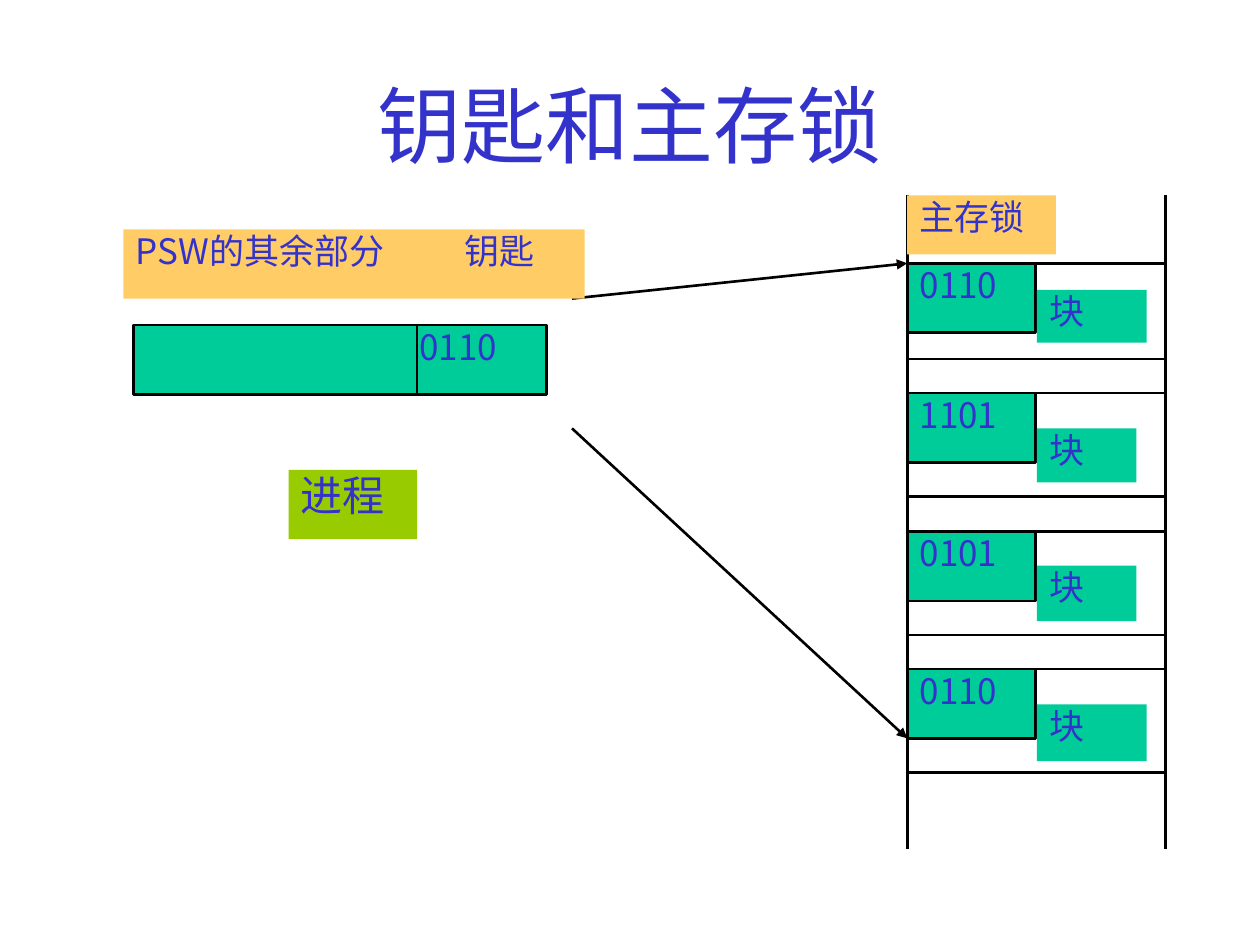
from dataclasses import dataclass

from lxml import etree
from pptx import Presentation
from pptx.dml.color import RGBColor
from pptx.enum.shapes import MSO_CONNECTOR, MSO_SHAPE
from pptx.enum.text import MSO_ANCHOR, PP_ALIGN
from pptx.oxml.ns import qn
from pptx.util import Inches, Pt

RECTANGLE = MSO_SHAPE.RECTANGLE
STRAIGHT = MSO_CONNECTOR.STRAIGHT
LEFT, CENTER = PP_ALIGN.LEFT, PP_ALIGN.CENTER
TOP, MIDDLE = MSO_ANCHOR.TOP, MSO_ANCHOR.MIDDLE
BLANK_LAYOUT = 6


@dataclass(frozen=True)
class Theme:
    text: str = "3333CC"
    line: str = "000000"
    label: str = "FFCC66"
    memory: str = "00CC99"
    process: str = "99CC00"
    title_font: str = "Times New Roman"
    body_font: str = "Noto Sans CJK SC"
    title_size: float = 48
    process_size: float = 24
    body_size: float = 20
    line_width: float = 1.5
    thin_line: float = 0.75


class SlideBuilder:
    def __init__(self, slide, theme):
        self.slide = slide
        self.theme = theme

    def add_text(self, shape, text, size, font_name, align=LEFT, anchor=TOP,
                 inset=0, indent=0, tab=None):
        frame = shape.text_frame
        frame.word_wrap = True
        frame.vertical_anchor = anchor
        frame.margin_left = frame.margin_right = Inches(0.1)
        frame.margin_top = frame.margin_bottom = Inches(inset)
        paragraph = frame.paragraphs[0]
        paragraph.alignment = align
        properties = paragraph._p.get_or_add_pPr()
        if indent:
            properties.set("marL", str(Inches(indent)))
        if tab:
            tab_list = etree.SubElement(properties, qn("a:tabLst"))
            etree.SubElement(tab_list, qn("a:tab"), pos=str(Inches(tab)), algn="l")
        run = paragraph.add_run()
        run.text = text
        run.font.size = Pt(size)
        run.font.name = font_name
        run.font.color.rgb = RGBColor.from_string(self.theme.text)
        east_asian = etree.SubElement(run._r.get_or_add_rPr(), qn("a:ea"))
        east_asian.set("typeface", self.theme.body_font)

    def title(self, text, left, top, width, height):
        shape = self.slide.shapes.add_textbox(
            Inches(left), Inches(top), Inches(width), Inches(height))
        self.add_text(shape, text, self.theme.title_size, self.theme.title_font,
                      CENTER, MIDDLE, inset=0.05)

    def box(self, text, left, top, width, height, fill, outlined=False,
            size=None, indent=0, tab=None):
        shape = self.slide.shapes.add_shape(
            RECTANGLE, Inches(left), Inches(top), Inches(width), Inches(height))
        shape.shadow.inherit = False
        shape.fill.solid()
        shape.fill.fore_color.rgb = RGBColor.from_string(fill)
        if outlined:
            shape.line.color.rgb = RGBColor.from_string(self.theme.line)
            shape.line.width = Pt(self.theme.line_width)
        else:
            shape.line.fill.background()
        self.add_text(shape, text, size or self.theme.body_size,
                      self.theme.body_font, indent=indent, tab=tab)

    def line(self, start_x, start_y, end_x, end_y, width=None, arrow=False):
        connector = self.slide.shapes.add_connector(
            STRAIGHT, Inches(start_x), Inches(start_y), Inches(end_x), Inches(end_y))
        connector.line.color.rgb = RGBColor.from_string(self.theme.line)
        connector.line.width = Pt(width or self.theme.line_width)
        if arrow:
            etree.SubElement(connector.line._get_or_add_ln(), qn("a:tailEnd"),
                             type="triangle")
        etree.SubElement(connector._element.spPr, qn("a:effectLst"))


def main():
    presentation = Presentation()
    presentation.slide_width, presentation.slide_height = Inches(10), Inches(7.5)
    slide = presentation.slides.add_slide(presentation.slide_layouts[BLANK_LAYOUT])
    theme = Theme()
    builder = SlideBuilder(slide, theme)

    builder.title("钥匙和主存锁", 0.75, 0.36, 8.5, 1.25)

    # Main memory column
    memory_left, memory_right = 7.2, 9.25
    lock_width, box_height = 1.02, 0.55
    block_left = 8.23
    for edge in (memory_left, memory_right):
        builder.line(edge, 1.55, edge, 6.74)
    builder.box("主存锁", memory_left, 1.55, 1.18, 0.47, theme.label)

    # Arrows from the key to the matching locks
    builder.line(4.54, 2.37, memory_left, 2.09, arrow=True)
    builder.line(4.54, 3.4, memory_left, 5.86, arrow=True)

    # Memory blocks: lock, top, bottom, block top, block width, block height
    blocks = [
        ("0110", 2.09, 2.85, 2.30, 0.87, 0.42),
        ("1101", 3.12, 3.94, 3.40, 0.79, 0.43),
        ("0101", 4.22, 5.04, 4.49, 0.79, 0.44),
        ("0110", 5.31, 6.13, 5.59, 0.87, 0.45),
    ]
    for lock, top, bottom, block_top, block_width, block_height in blocks:
        for edge in (top, bottom):
            builder.line(memory_left, edge, memory_right, edge)
        builder.box(lock, memory_left, top, lock_width, box_height,
                    theme.memory, outlined=True)
        builder.box("块", block_left, block_top, block_width, block_height,
                    theme.memory)

    # Process status word with its key
    word_top, divider = 2.58, 3.31
    builder.box("0110", 1.06, word_top, 3.28, box_height, theme.memory,
                outlined=True, indent=2.17)
    builder.box("PSW的其余部分\t钥匙", 0.98, 1.82, 3.66, box_height,
                theme.label, tab=2.61)
    builder.box("进程", 2.29, 3.73, 1.02, box_height, theme.process,
                size=theme.process_size)
    builder.line(divider, word_top, divider, word_top + box_height,
                 width=theme.thin_line)

    presentation.save("out.pptx")


if __name__ == "__main__":
    main()
